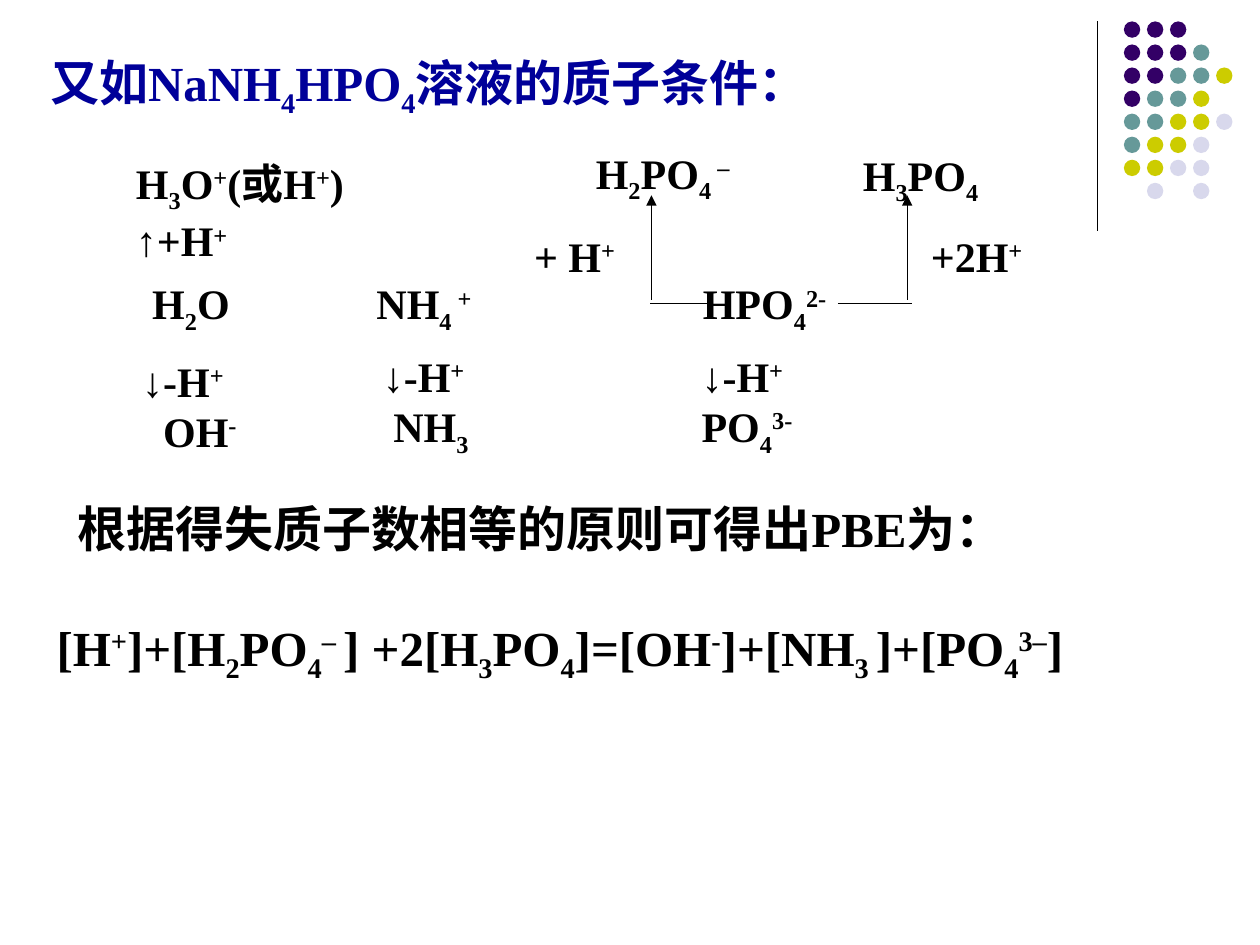
from lxml import etree
from pptx import Presentation
from pptx import util as u
from pptx.dml.color import RGBColor
from pptx.enum import shapes, text
from pptx.oxml import ns

COLORS = {
    "black": "000000", "title": "000099", "purple": "330066",
    "teal": "669999", "lime": "CCCC00", "pale": "D8D8EC",
}
COLS, ROWS = 100, 75
BASELINES = {"_": "-25000", "^": "30000"}


def write(p, content, size=24, color="black", spacing=None, before=0,
          indent=0, tabs=()):
    """Fill a paragraph; {_x} marks a subscript and {^x} a superscript."""
    pPr = p._p.get_or_add_pPr()
    if indent:
        pPr.set("marL", str(u.Pt(indent)))
    if tabs:
        stops = etree.SubElement(pPr, ns.qn("a:tabLst"))
        for stop in tabs:
            etree.SubElement(stops, ns.qn("a:tab"), pos=str(u.Inches(stop)), algn="l")
    if spacing:
        p.line_spacing = spacing
    if before:
        p.space_before = u.Pt(before)
    for i, part in enumerate(content.replace("}", "{").split("{")):
        if not part:
            continue
        r = p.add_run()
        r.text = part[1:] if i % 2 else part
        r.font.size = u.Pt(size)
        r.font.name = "Times New Roman"
        r.font.bold = True
        r.font.color.rgb = RGBColor.from_string(COLORS[color])
        if i % 2:
            r._r.get_or_add_rPr().set("baseline", BASELINES[part[0]])


class Page:
    def __init__(self, prs):
        self.s = prs.slides.add_slide(prs.slide_layouts[6])
        self.col = prs.slide_width / COLS
        self.row = prs.slide_height / ROWS

    def place(self, x, y):
        return u.Emu(round(x * self.col)), u.Emu(round(y * self.row))

    def text(self, x, y, w, h, *lines, **style):
        """Each line is a string, or a string with its own format."""
        sp = self.s.shapes.add_textbox(*self.place(x, y), *self.place(w, h))
        tf = sp.text_frame
        tf.word_wrap = True
        tf.auto_size = text.MSO_AUTO_SIZE.SHAPE_TO_FIT_TEXT
        for i, line in enumerate(lines):
            content, own = line if isinstance(line, tuple) else (line, {})
            p = tf.add_paragraph() if i else tf.paragraphs[0]
            write(p, content, **{**style, **own})

    def line(self, x1, y1, x2, y2, arrow=False):
        c = self.s.shapes.add_connector(
            shapes.MSO_CONNECTOR.STRAIGHT, *self.place(x1, y1), *self.place(x2, y2))
        c.line.width = u.Pt(0.75)
        c.line.color.rgb = RGBColor.from_string(COLORS["black"])
        if arrow:
            etree.SubElement(c.line._get_or_add_ln(), ns.qn("a:tailEnd"), type="triangle")
        etree.SubElement(c._element.spPr, ns.qn("a:effectLst"))

    def dots(self, x, y, pitch, size, pattern):
        """One letter per dot: the first of its colour, or w for pale."""
        keys = {name[0]: name for name in ("purple", "teal", "lime")}
        keys["w"] = "pale"
        group = self.s.shapes.add_group_shape()
        for j, row in enumerate(pattern):
            for i, key in enumerate(row):
                if key == ".":
                    continue
                sp = group.shapes.add_shape(
                    shapes.MSO_SHAPE.OVAL, *self.place(x + i * pitch, y + j * pitch),
                    *self.place(size, size))
                sp.shadow.inherit = False
                sp.fill.solid()
                sp.fill.fore_color.rgb = RGBColor.from_string(COLORS[keys[key]])
                sp.line.fill.background()


def main():
    prs = Presentation()
    prs.slide_width, prs.slide_height = u.Inches(10), u.Inches(7.5)
    s = Page(prs)

    # Corner decoration
    s.line(87.1, 1.7, 87.1, 18.3)
    s.dots(89.2, 1.7, 1.83, 1.3,
           ["ppp", "pppt", "ppttl", "pttl", "ttllw", "tllw", "llww", ".w.w"])

    # Conclusion and proton balance
    s.text(3.5, 39.1, 89.8, 15.7,
           ("根据得失质子数相等的原则可得出PBE为：", {"indent": 12}),
           ("[H{^+}]+[H{_2}PO{_4}{^– }] +2[H{_3}PO{_4}]=[OH{^-}]+[NH{_3 }]+[PO{_4}{^3–}]",
            {"before": 34}),
           size=28)

    # Title
    s.text(3, 2.1, 65, 7.9, "又如NaNH{_4}HPO{_4}溶液的质子条件：",
           size=28, color="title", spacing=1.3)

    # Reference species
    s.text(11.1, 20.2, 57, 6.9, "H{_2}O\tNH{_4 }{^+}\tHPO{_4}{^2-}",
           spacing=1.3, tabs=(1.78, 4.37))

    # Proton gain
    s.text(9.8, 12, 20.5, 9.6, "H{_3}O{^+}(或H{^+})", "↑+H{^+}")
    for elbow, inner, stem in ((51.6, 56.6, 51.7), (72.4, 66.5, 72)):
        s.line(inner, 24.1, elbow, 24.1)
        s.line(stem, 23.8, stem, 15.5, arrow=True)
    s.text(41.4, 17.8, 9, 5, "+ H{^+}")
    s.text(72.9, 17.8, 10, 5, "+2H{^+}")
    s.text(46.3, 11.2, 13.5, 5.6, "H{_2}PO{_4 }{^–}")
    s.text(67.5, 10, 12, 6.9, "H{_3}PO{_4}", spacing=1.3)

    # Proton loss
    for x, y, w, product, indent in ((10.3, 27.7, 10, "OH{^-}", 12),
                                     (29.4, 27.3, 10, "NH{_3}", 6),
                                     (54.7, 27.3, 15, "PO{_4}{^3-}", 0)):
        s.text(x, y, w, 9.6, "↓-H{^+}", (product, {"indent": indent}))

    prs.save("out.pptx")


if __name__ == "__main__":
    main()
